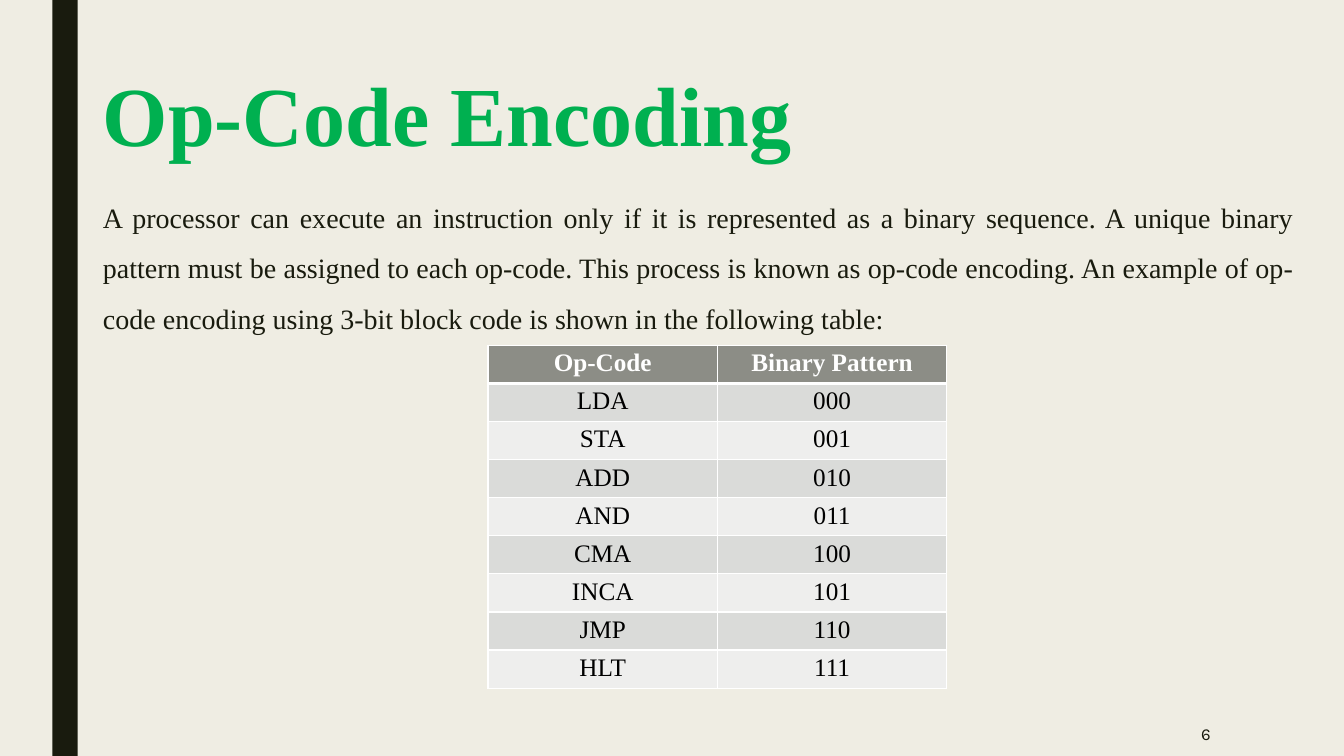
from lxml.etree import SubElement
from pptx import Presentation
from pptx.dml.color import RGBColor
from pptx.enum.shapes import MSO_SHAPE
from pptx.enum.text import MSO_ANCHOR, PP_ALIGN
from pptx.oxml.ns import qn
from pptx.util import Cm, Pt

# Palette and fonts
CREAM = RGBColor(0xEF, 0xED, 0xE3)
INK = RGBColor(0x19, 0x1B, 0x0E)
GREEN = RGBColor(0x00, 0xB0, 0x50)
HEADER_GRAY = RGBColor(0x8C, 0x8D, 0x86)
BAND_DARK = RGBColor(0xDA, 0xDB, 0xD9)
BAND_LIGHT = RGBColor(0xEE, 0xEE, 0xED)
WHITE = RGBColor(0xFF, 0xFF, 0xFF)
BLACK = RGBColor(0x00, 0x00, 0x00)
SERIF = "Times New Roman"
SANS = "Karla"

# Content
EXPLANATION = (
    "A processor can execute an instruction only if it is represented as a binary "
    "sequence. A unique binary pattern must be assigned to each op-code. This process "
    "is known as op-code encoding. An example of op-code encoding using 3-bit block "
    "code is shown in the following table:"
)
OP_CODES = ["LDA", "STA", "ADD", "AND", "CMA", "INCA", "JMP", "HLT"]


class SlideBuilder:
    """Holds the slide and the style its elements share."""

    def __init__(self, slide):
        self.slide = slide
        background = slide.background.fill
        background.solid()
        background.fore_color.rgb = CREAM

    def fill_text(self, frame, text, size, color, bold=False, font=SERIF,
                  align=PP_ALIGN.LEFT):
        frame.text = text
        paragraph = frame.paragraphs[0]
        paragraph.alignment = align
        style = paragraph.runs[0].font
        style.name, style.size, style.bold = font, Pt(size), bold
        style.color.rgb = color
        return paragraph

    def place(self, shape, left, top, width, height):
        shape.left, shape.top = Cm(left), Cm(top)
        shape.width, shape.height = Cm(width), Cm(height)

    def bar(self, left, top, width, height):
        stripe = self.slide.shapes.add_shape(
            MSO_SHAPE.RECTANGLE, Cm(left), Cm(top), Cm(width), Cm(height))
        stripe.shadow.inherit = False
        stripe.fill.solid()
        stripe.fill.fore_color.rgb = INK
        stripe.line.fill.background()

    def title(self, text, *box):
        heading = self.slide.shapes.title
        self.place(heading, *box)
        heading.text_frame.vertical_anchor = MSO_ANCHOR.TOP
        paragraph = self.fill_text(heading.text_frame, text, 60, GREEN, bold=True)
        paragraph.line_spacing = 0.89

    def body(self, text, *box):
        body = self.slide.placeholders[1]
        self.place(body, *box)
        paragraph = self.fill_text(body.text_frame, text, 20, INK,
                                   align=PP_ALIGN.JUSTIFY)
        paragraph.line_spacing = 1.5
        paragraph.space_before, paragraph.space_after = Pt(10), Pt(2)
        # No bullet or hanging indent
        properties = paragraph._p.get_or_add_pPr()
        properties.set("marL", "0")
        properties.set("indent", "0")
        SubElement(properties, qn("a:buNone"))

    def table(self, rows, left, top, column_width, row_height):
        columns = len(rows[0])
        grid = self.slide.shapes.add_table(
            len(rows), columns, Cm(left), Cm(top),
            Cm(column_width * columns), Cm(row_height * len(rows))).table
        for r, values in enumerate(rows):
            header = r == 0
            fill = HEADER_GRAY if header else (BAND_LIGHT, BAND_DARK)[r % 2]
            for c, value in enumerate(values):
                cell = grid.cell(r, c)
                cell.margin_top = cell.margin_bottom = Cm(0.1)
                self.fill_text(cell.text_frame, value, 18, WHITE if header else BLACK,
                               bold=header, align=PP_ALIGN.CENTER)
                self.borders(cell, top=3 if r == 1 else 1, bottom=3 if header else 1)
                cell.fill.solid()
                cell.fill.fore_color.rgb = fill

    def borders(self, cell, top, bottom):
        properties = cell._tc.get_or_add_tcPr()
        for side, points in (("L", 1), ("R", 1), ("T", top), ("B", bottom)):
            line = SubElement(properties, qn(f"a:ln{side}"), w=str(Pt(points)))
            SubElement(SubElement(line, qn("a:solidFill")), qn("a:srgbClr"),
                       val=str(WHITE))

    def page_number(self, number, *box):
        label = self.slide.shapes.add_textbox(*map(Cm, box))
        label.text_frame.word_wrap = True
        label.text_frame.vertical_anchor = MSO_ANCHOR.MIDDLE
        self.fill_text(label.text_frame, str(number), 12, INK, font=SANS,
                       align=PP_ALIGN.RIGHT)


def main():
    deck = Presentation()
    deck.slide_width, deck.slide_height = Cm(33.87), Cm(19.05)
    page = SlideBuilder(deck.slides.add_slide(deck.slide_layouts[1]))

    # Side stripe
    page.bar(1.32, 0, 0.64, 19.05)

    # Heading and explanation
    page.title("Op-Code Encoding", 2.34, 1.75, 19.86, 2.06)
    page.body(EXPLANATION, 2.34, 4.5, 30.53, 13.33)

    # Each op-code is paired with its index as a 3-bit pattern
    patterns = [(code, f"{index:03b}") for index, code in enumerate(OP_CODES)]
    page.table([("Op-Code", "Binary Pattern"), *patterns], 12.3, 8.7, 5.78, 0.96)

    # Page number
    page.page_number(6, 26.31, 17.93, 4.45, 1.12)

    deck.save("out.pptx")


if __name__ == "__main__":
    main()
